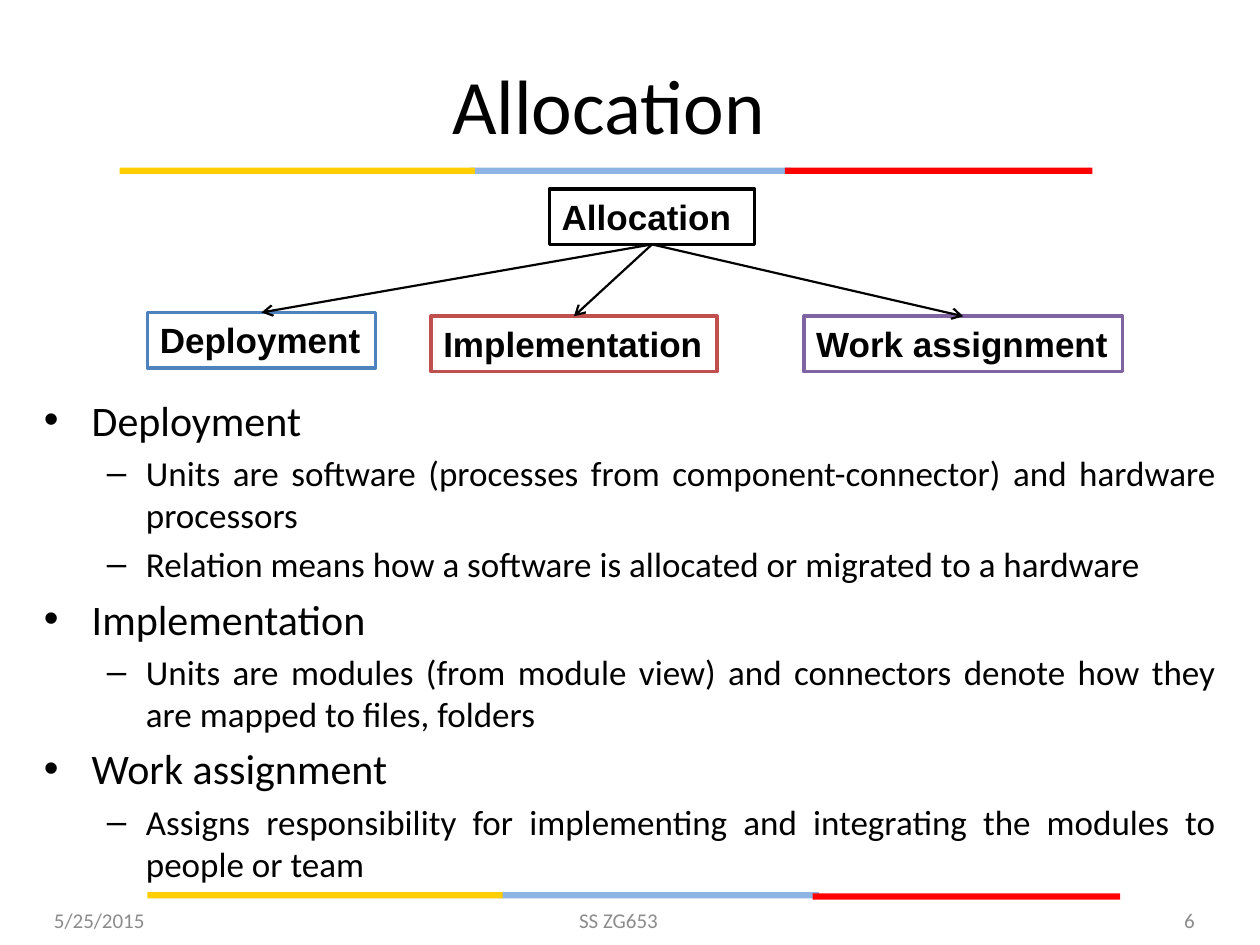
from lxml.etree import SubElement
from pptx import Presentation
from pptx.dml.color import RGBColor
from pptx.enum.shapes import MSO_CONNECTOR, MSO_SHAPE
from pptx.enum.text import MSO_ANCHOR, PP_ALIGN
from pptx.oxml.ns import qn
from pptx.util import Inches, Pt

THEME = {
    "body_font": "Calibri", "box_font": "Arial",
    "ink": "000000", "paper": "FFFFFF", "muted": "8C8C8C",
    "yellow": "FFCE00", "sky": "8EB4E3", "red": "FF0000",
    "blue": "4F81BD", "brick": "C0504D", "purple": "8064A2",
    "title_size": 44, "box_size": 20, "footer_size": 12,
    "level_sizes": (24, 20),
}

TITLE = "Allocation"
# label, left, top, width, outline
ROOT = ("Allocation", 4.36, 1.5, 1.63, "ink")
BRANCHES = [
    ("Deployment", 1.17, 2.48, 1.81, "blue"),
    ("Implementation", 3.42, 2.51, 2.27, "brick"),
    ("Work assignment", 6.38, 2.51, 2.53, "purple"),
]
BOX_HEIGHT = 0.44
TOPICS = [
    ("Deployment", [
        "Units are software (processes from component-connector) and hardware processors",
        "Relation means how a software is allocated or migrated to a hardware",
    ]),
    ("Implementation", [
        "Units are modules (from module view) and connectors denote how they are mapped to files, folders",
    ]),
    ("Work assignment", [
        "Assigns responsibility for implementing and integrating the modules to people or team",
    ]),
]
# bullet, left margin, first-line indent for each level
BULLETS = [("•", 0.38, -0.38), ("–", 0.81, -0.31)]
# text, left, width, alignment, right inset
FOOTERS = [
    ("5/25/2015", 0.33, 2.33, PP_ALIGN.LEFT, 0.1),
    ("SS ZG653", 3.42, 3.17, PP_ALIGN.CENTER, 0.29),
    ("6", 7.25, 2.33, PP_ALIGN.RIGHT, 0.1),
]
# colour, offset from the rule's left end, width, in drawing order
STRIPES = [("sky", 2.78, 2.55), ("red", 5.28, 2.44), ("yellow", 0, 2.82)]
# left end, top, extra drop of the red stripe
RULES = [(0.95, 1.33, 0), (1.17, 7.08, 0.01)]


def color(name):
    return RGBColor.from_string(THEME[name])


def style(paragraph, size, font="body_font", ink="ink", bold=False):
    for key, value in {"name": THEME[font], "size": Pt(size), "bold": bold}.items():
        setattr(paragraph.font, key, value)
    paragraph.font.color.rgb = color(ink)


def add_rect(slide, left, top, width, height, fill):
    rect = slide.shapes.add_shape(MSO_SHAPE.RECTANGLE, *map(Inches, (left, top, width, height)))
    rect.shadow.inherit = False
    rect.fill.solid()
    rect.fill.fore_color.rgb = color(fill)
    rect.line.fill.background()
    return rect


def add_rules(slide):
    for left, top, red_drop in RULES:
        for fill, offset, width in STRIPES:
            drop = red_drop if fill == "red" else 0
            add_rect(slide, left + offset, top + drop, width, 0.05, fill)


def add_text(slide, text, place, size, align, ink="ink", right_inset=0.1):
    frame = slide.shapes.add_textbox(*map(Inches, place)).text_frame
    for key, value in {"word_wrap": True, "vertical_anchor": MSO_ANCHOR.MIDDLE,
                       "margin_right": Inches(right_inset), "text": text}.items():
        setattr(frame, key, value)
    frame.paragraphs[0].alignment = align
    style(frame.paragraphs[0], size, ink=ink)


def add_topics(slide):
    frame = slide.shapes.add_textbox(*map(Inches, (0.25, 3.08, 9.5, 3.67))).text_frame
    frame.word_wrap = True
    lines = [(level, text) for topic, details in TOPICS
             for level, text in [(0, topic)] + [(1, detail) for detail in details]]
    for number, (level, text) in enumerate(lines):
        paragraph = frame.add_paragraph() if number else frame.paragraphs[0]
        bullet, margin, indent = BULLETS[level]
        size = THEME["level_sizes"][level]
        paragraph.text = text
        paragraph.level = level
        paragraph.alignment = PP_ALIGN.JUSTIFY
        paragraph.space_before = Pt(size * 0.2 if number else 0)
        properties = paragraph._p.get_or_add_pPr()
        properties.set("marL", str(Inches(margin)))
        properties.set("indent", str(Inches(indent)))
        SubElement(properties, qn("a:buFont"), typeface="Arial")
        SubElement(properties, qn("a:buChar"), char=bullet)
        style(paragraph, size)


def add_node(slide, label, left, top, width, outline):
    node = add_rect(slide, left, top, width, BOX_HEIGHT, "paper")
    node.line.color.rgb = color(outline)
    node.line.width = Pt(2)
    frame = node.text_frame
    for key, value in {"word_wrap": True, "vertical_anchor": MSO_ANCHOR.TOP,
                       "margin_right": 0, "text": label}.items():
        setattr(frame, key, value)
    frame.paragraphs[0].alignment = PP_ALIGN.LEFT
    style(frame.paragraphs[0], THEME["box_size"], "box_font", bold=True)
    return node


def add_arrow(slide, parent, child):
    """Join the parent's bottom middle to the child's top middle."""
    arrow = slide.shapes.add_connector(MSO_CONNECTOR.STRAIGHT, 0, 0, 0, 0)
    arrow.begin_connect(parent, 2)
    arrow.end_connect(child, 0)
    arrow.line.color.rgb = color("ink")
    arrow.line.width = Pt(1.25)
    SubElement(arrow.line._get_or_add_ln(), qn("a:tailEnd"), type="arrow")
    SubElement(arrow._element.spPr, qn("a:effectLst"))


def main():
    deck = Presentation()
    deck.slide_width, deck.slide_height = Inches(10), Inches(7.5)
    slide = deck.slides.add_slide(deck.slide_layouts[6])
    add_rules(slide)
    add_text(slide, TITLE, (0.33, 0.31, 9, 1.03), THEME["title_size"], PP_ALIGN.CENTER)
    add_topics(slide)
    root = add_node(slide, *ROOT)
    branches = [add_node(slide, *branch) for branch in BRANCHES]
    for branch in branches:
        add_arrow(slide, root, branch)
    for text, left, width, align, inset in FOOTERS:
        add_text(slide, text, (left, 7.1, width, 0.4), THEME["footer_size"], align, "muted", inset)
    deck.save("out.pptx")


if __name__ == "__main__":
    main()
